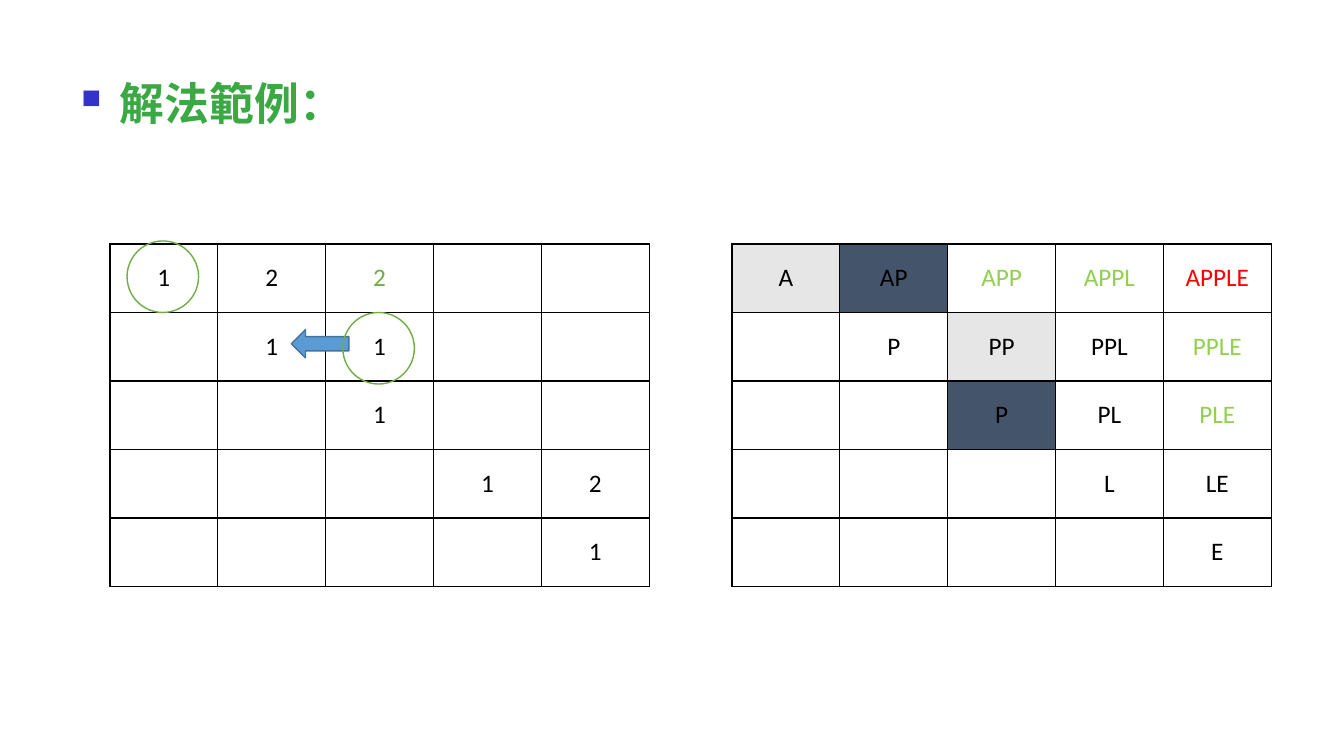
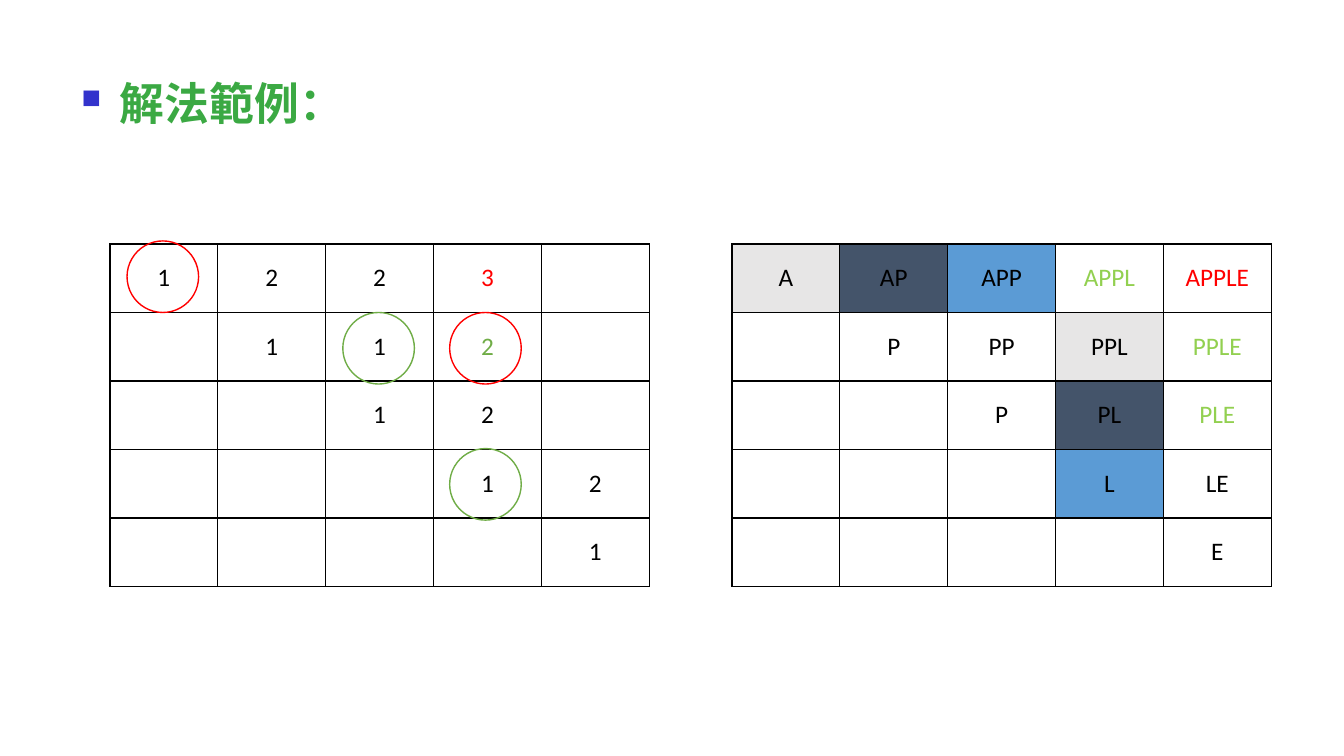
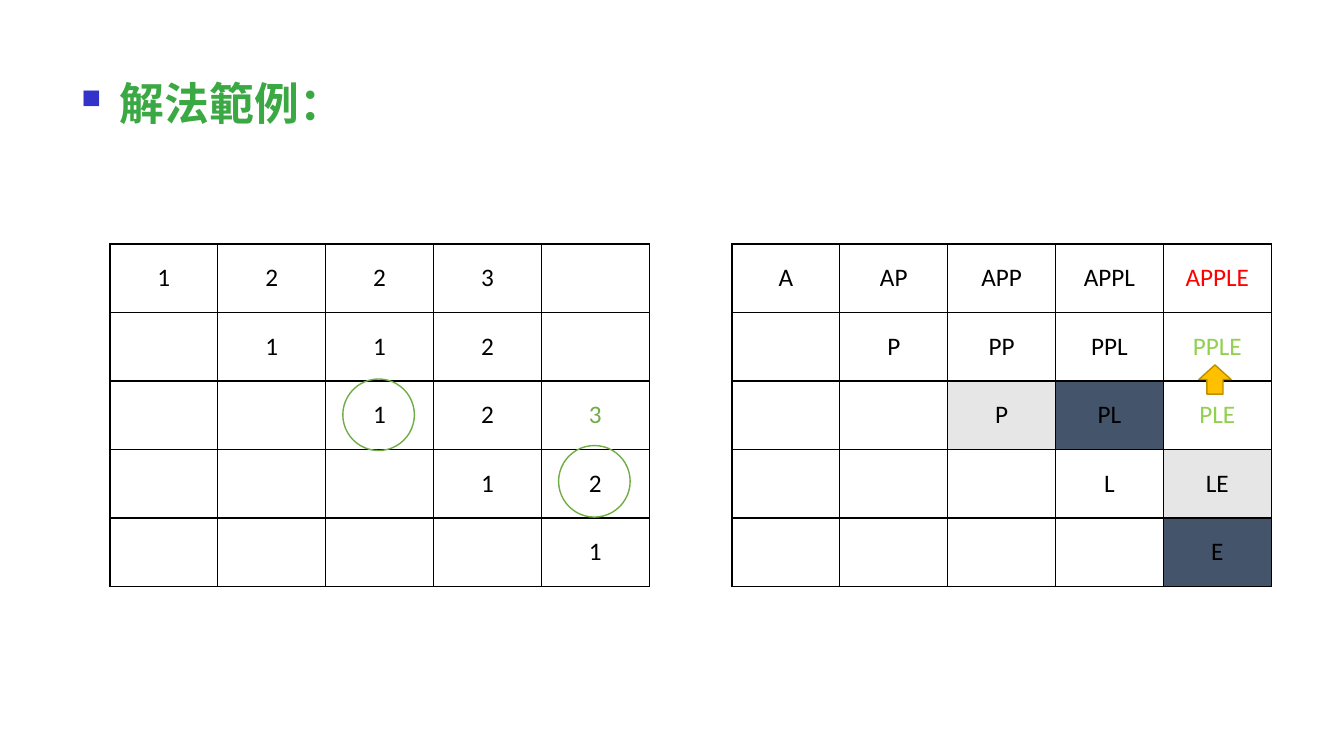
from lxml import etree
from pptx import Presentation
from pptx.dml.color import RGBColor
from pptx.enum.shapes import MSO_SHAPE
from pptx.enum.text import MSO_ANCHOR, MSO_AUTO_SIZE, PP_ALIGN
from pptx.oxml import parse_xml
from pptx.oxml.ns import nsdecls, qn
from pptx.util import Inches, Pt

OVAL = MSO_SHAPE.OVAL
RIGHT_ARROW = MSO_SHAPE.RIGHT_ARROW
UP_ARROW = MSO_SHAPE.UP_ARROW
CENTER = PP_ALIGN.CENTER
MIDDLE = MSO_ANCHOR.MIDDLE
GROW = MSO_AUTO_SIZE.SHAPE_TO_FIT_TEXT

BLACK, WHITE, RED = "000000", "FFFFFF", "FF0000"
GREEN, LIME, TITLE_GREEN = "70AD47", "92D050", "3BA943"
GRAY, NAVY, BLUE = "E7E6E6", "44546A", "5B9BD5"

TITLE = "解法範例："
WORD = "APPLE"
SIZE = len(WORD)
COLUMN_WIDTH, ROW_HEIGHT, TABLE_TOP = 1.07, 0.68, 2.42
COUNTS_LEFT, SUBSTRINGS_LEFT = 1.09, 7.26
CIRCLE = 0.71

# Every substring of the word, by first and last letter
substrings = [[WORD[row:column + 1] for column in range(SIZE)] for row in range(SIZE)]

# Text colours and fills are keyed by (row, column);
# circles are (left, top, colour);
# arrows are (preset, left, top, width, height, rotation, fill, line)
STEPS = [
    {
        "counts": ["122  ", " 11  ", "  1  ", "   12", "    1"],
        "count_colors": {(0, 2): GREEN},
        "pending": [(0, 2), (0, 3), (1, 4), (2, 4)],
        "fills": {(0, 0): GRAY, (0, 1): NAVY, (1, 2): GRAY, (2, 2): NAVY},
        "arrows": [(RIGHT_ARROW, 2.89, 3.27, 0.57, 0.28, 180, BLUE, "43739E")],
        "circles": [(3.4, 3.1, GREEN), (1.26, 2.39, GREEN)],
    },
    {
        "counts": ["1223 ", " 112 ", "  12 ", "   12", "    1"],
        "count_colors": {(0, 3): RED, (1, 3): GREEN},
        "pending": [(0, 3), (1, 4), (2, 4)],
        "fills": {(0, 0): GRAY, (0, 1): NAVY, (0, 2): BLUE,
                  (1, 3): GRAY, (2, 3): NAVY, (3, 3): BLUE},
        "arrows": [],
        "circles": [(3.4, 3.1, GREEN), (4.46, 4.45, GREEN),
                    (1.26, 2.39, RED), (4.46, 3.1, RED)],
    },
    {
        "counts": ["1223 ", " 112 ", "  123", "   12", "    1"],
        "count_colors": {(2, 4): GREEN},
        "pending": [(1, 4), (2, 4)],
        "fills": {(2, 2): GRAY, (2, 3): NAVY, (3, 4): GRAY, (4, 4): NAVY},
        "arrows": [(UP_ARROW, 11.89, 3.62, 0.32, 0.29, 0, "FFC000", "BD8E00")],
        "circles": [(3.4, 3.76, GREEN), (5.54, 4.42, GREEN)],
    },
]


def rgb(color):
    return RGBColor.from_string(color)


def add_grid(page, left, texts, colors, fills):
    """Add a square table with black borders and centred text."""
    table = page.shapes.add_table(
        SIZE, SIZE, Inches(left), Inches(TABLE_TOP),
        Inches(SIZE * COLUMN_WIDTH), Inches(SIZE * ROW_HEIGHT)).table
    table.first_row = table.horz_banding = False
    for row in range(SIZE):
        for column in range(SIZE):
            cell = table.cell(row, column)
            properties = cell._tc.get_or_add_tcPr()
            for side in ("lnL", "lnR", "lnT", "lnB"):
                properties.append(parse_xml(
                    f'<a:{side} {nsdecls("a")} w="{Pt(1)}"><a:solidFill>'
                    f'<a:srgbClr val="{BLACK}"/></a:solidFill></a:{side}>'))
            cell.fill.solid()
            cell.fill.fore_color.rgb = rgb(fills.get((row, column), WHITE))
            cell.vertical_anchor = MIDDLE
            cell.text = texts[row][column].strip()
            paragraph = cell.text_frame.paragraphs[0]
            paragraph.alignment = CENTER
            paragraph.font.name = "Calibri"
            paragraph.font.size = Pt(18)
            paragraph.font.color.rgb = rgb(colors.get((row, column), BLACK))


deck = Presentation()
deck.slide_width, deck.slide_height = Inches(13.33), Inches(7.5)
blank = deck.slide_layouts[6]

for step in STEPS:
    page = deck.slides.add_slide(blank)

    box = page.shapes.add_textbox(Inches(0.71), Inches(0.7), Inches(2.85), Inches(0.64))
    box.text_frame.word_wrap = True
    box.text_frame.auto_size = GROW
    title = box.text_frame.paragraphs[0]
    title.text = TITLE
    properties = title._p.get_or_add_pPr()
    properties.set("marL", str(Inches(0.38)))
    properties.set("indent", str(-Inches(0.38)))
    bullet_color = etree.SubElement(properties, qn("a:buClr"))
    etree.SubElement(bullet_color, qn("a:srgbClr"), val="3333CC")
    etree.SubElement(properties, qn("a:buSzPct"), val="60000")
    etree.SubElement(properties, qn("a:buChar"), char="■")
    title.font.name = "Times New Roman"
    title.font.size = Pt(32)
    title.font.bold = True
    title.font.color.rgb = rgb(TITLE_GREEN)

    add_grid(page, COUNTS_LEFT, step["counts"], step["count_colors"], {})
    substring_colors = {cell: LIME for cell in step["pending"]}
    substring_colors[0, SIZE - 1] = RED
    add_grid(page, SUBSTRINGS_LEFT, substrings, substring_colors, step["fills"])

    for preset, left, top, width, height, rotation, fill, line in step["arrows"]:
        arrow = page.shapes.add_shape(
            preset, Inches(left), Inches(top), Inches(width), Inches(height))
        arrow.shadow.inherit = False
        arrow.rotation = rotation
        arrow.fill.solid()
        arrow.fill.fore_color.rgb = rgb(fill)
        arrow.line.color.rgb = rgb(line)
        arrow.line.width = Pt(1)

    for left, top, color in step["circles"]:
        circle = page.shapes.add_shape(
            OVAL, Inches(left), Inches(top), Inches(CIRCLE), Inches(CIRCLE))
        circle.shadow.inherit = False
        circle.fill.background()
        circle.line.color.rgb = rgb(color)
        circle.line.width = Pt(1)

deck.save("out.pptx")
